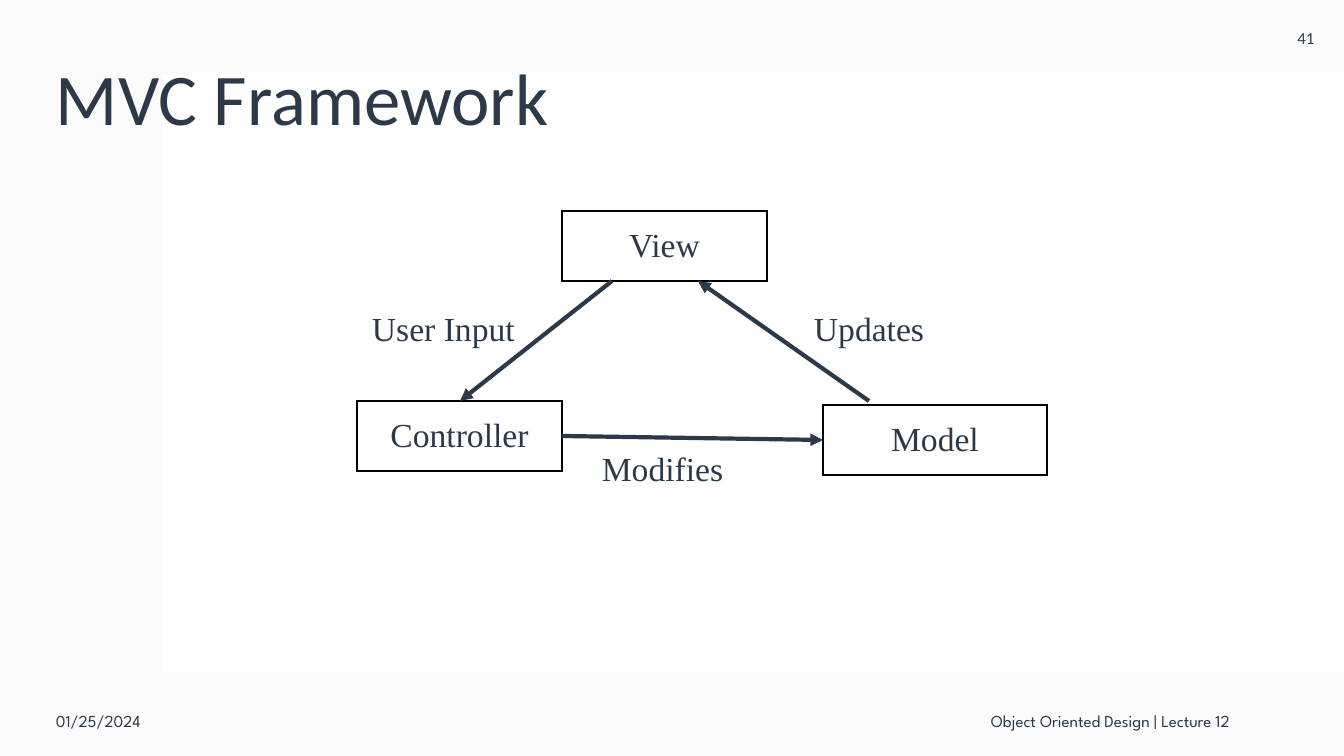
from lxml import etree
from pptx import Presentation
from pptx import util as u
from pptx.dml.color import RGBColor
from pptx.enum import shapes, text
from pptx.oxml.ns import qn

PX = 914400 / 100.8
INK = "2C3948"
LEFT, CENTER, RIGHT = text.PP_ALIGN.LEFT, text.PP_ALIGN.CENTER, text.PP_ALIGN.RIGHT
TOP, MIDDLE = text.MSO_ANCHOR.TOP, text.MSO_ANCHOR.MIDDLE


def px(*lengths):
    return [u.Emu(round(length * PX)) for length in lengths]


def color(value):
    return RGBColor.from_string(value)


deck = Presentation()
deck.slide_width, deck.slide_height = px(1344, 756)
slide = deck.slides.add_slide(deck.slide_layouts[6])

# Background panels
for area, shade, opacity in [((0, 0, 1344, 756), "F4F4F4", 35),
                             ((163, 74, 1181, 598), "FFFFFF", 100)]:
    panel = slide.shapes.add_shape(shapes.MSO_SHAPE.RECTANGLE, *px(*area))
    panel.shadow.inherit = False
    panel.line.fill.background()
    panel.fill.solid()
    panel.fill.fore_color.rgb = color(shade)
    if opacity < 100:
        shade_xml = panel.fill._xPr.find(".//" + qn("a:srgbClr"))
        etree.SubElement(shade_xml, qn("a:alpha"), val=str(opacity * 1000))

# Title, page number, footer and arrow labels
captions = [
    ("MVC Framework", (46, 40, 1192, 124), 52, "Calibri", LEFT, MIDDLE, True),
    ("41", (1268, 0, 76, 76), 12, "Calibri", CENTER, MIDDLE, True),
    ("01/25/2024", (46, 685, 302, 71), 12, "League Spartan", LEFT, MIDDLE, True),
    ("Object Oriented Design | Lecture 12", (415, 685, 825, 71), 12,
     "League Spartan", RIGHT, MIDDLE, True),
    ("User Input", (362, 303, 164, 50), 24, "Times New Roman", LEFT, TOP, False),
    ("Modifies", (592, 443, 143, 50), 24, "Times New Roman", LEFT, TOP, False),
    ("Updates", (804, 303, 131, 50), 24, "Times New Roman", LEFT, TOP, False),
]
for words, area, size, font, align, anchor, wrap in captions:
    frame = slide.shapes.add_textbox(*px(*area)).text_frame
    frame.word_wrap = wrap
    frame.vertical_anchor = anchor
    frame.text = words
    line = frame.paragraphs[0]
    line.alignment = align
    if size == 52:
        line.line_spacing = 0.9
    run = line.runs[0]
    run.font.size, run.font.name = u.Pt(size), font
    run.font.color.rgb = color(INK)

# The three components, each a one-cell table
for component, area in [("View", (562, 211, 205, 70)),
                        ("Controller", (357, 401, 205, 70)),
                        ("Model", (823, 405, 224, 70))]:
    table = slide.shapes.add_table(1, 1, *px(*area)).table
    table.first_row = table.horz_banding = False
    cell = table.cell(0, 0)
    cell.fill.background()
    cell.vertical_anchor = MIDDLE
    cell.text = component
    line = cell.text_frame.paragraphs[0]
    line.alignment = CENTER
    font = line.runs[0].font
    font.size, font.name, font.bold = u.Pt(24), "Times New Roman", False
    font.color.rgb = color(INK)
    cell_xml = cell._tc.get_or_add_tcPr()
    for index, side in enumerate(["lnL", "lnR", "lnT", "lnB"]):
        border = etree.Element(qn("a:" + side), w=str(u.Pt(1)))
        fill = etree.SubElement(border, qn("a:solidFill"))
        etree.SubElement(fill, qn("a:srgbClr"), val="000000")
        cell_xml.insert(index, border)

# Arrows: view to controller, controller to model, model to view
for ends in [(612, 281, 460, 401), (562, 436, 823, 440), (869, 401, 698, 281)]:
    arrow = slide.shapes.add_connector(shapes.MSO_CONNECTOR.STRAIGHT, *px(*ends))
    arrow.line.width = u.Pt(3)
    arrow.line.color.rgb = color(INK)
    etree.SubElement(arrow.line._get_or_add_ln(), qn("a:tailEnd"), type="triangle")
    etree.SubElement(arrow._element.spPr, qn("a:effectLst"))

deck.save("out.pptx")
